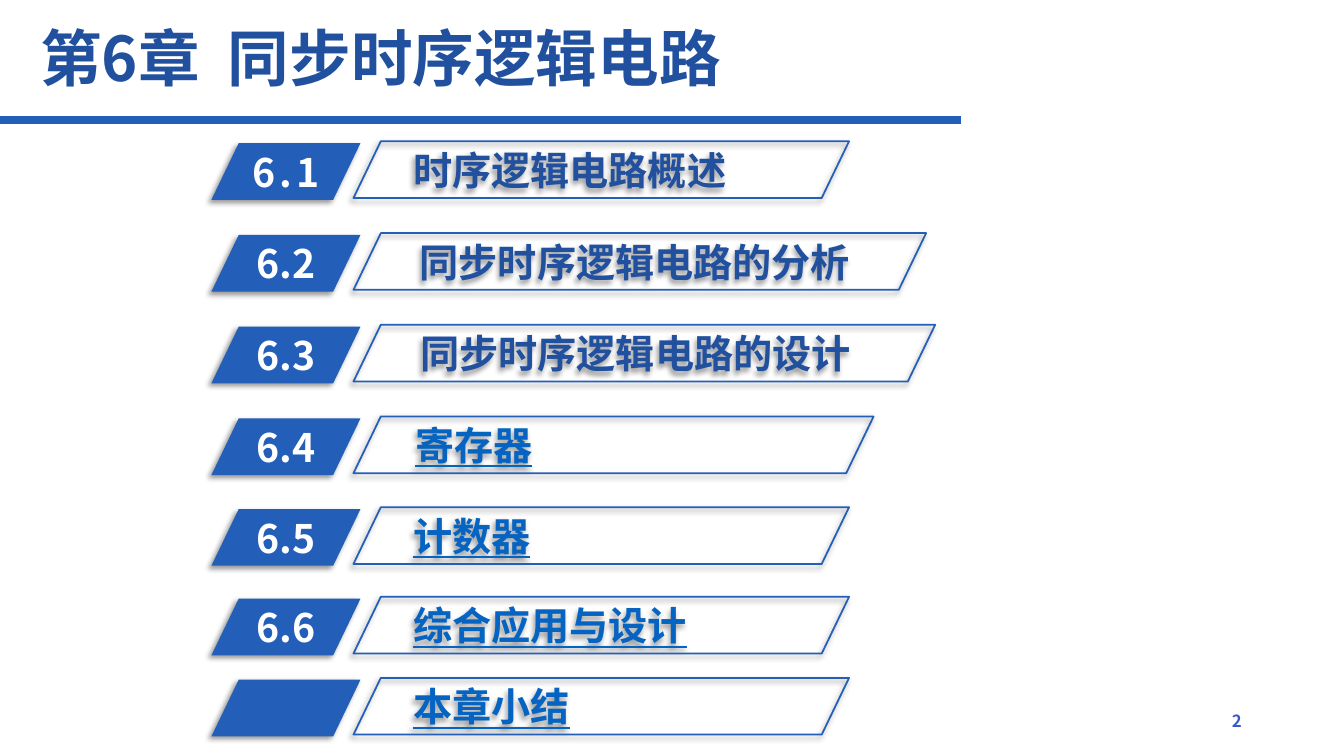
from lxml import etree
from pptx import Presentation
from pptx.dml.color import RGBColor
from pptx.enum.shapes import MSO_CONNECTOR, MSO_SHAPE
from pptx.enum.text import MSO_ANCHOR, MSO_AUTO_SIZE, PP_ALIGN
from pptx.oxml import parse_xml
from pptx.oxml.ns import nsdecls, qn
from pptx.util import Pt

PARALLELOGRAM = MSO_SHAPE.PARALLELOGRAM
STRAIGHT = MSO_CONNECTOR.STRAIGHT
MIDDLE = MSO_ANCHOR.MIDDLE
NO_AUTOFIT = MSO_AUTO_SIZE.NONE
LEFT, CENTER, RIGHT = PP_ALIGN.LEFT, PP_ALIGN.CENTER, PP_ALIGN.RIGHT

FONT = "Noto Sans CJK SC"
BLUE = RGBColor(0x23, 0x5E, 0xB8)
NAVY = RGBColor(0x21, 0x50, 0x9E)
LINK_BLUE = RGBColor(0x05, 0x63, 0xC1)
PAGE_BLUE = RGBColor(0x38, 0x59, 0xCD)
WHITE = RGBColor(0xFF, 0xFF, 0xFF)

BADGE_LEFT, BADGE_WIDTH = 151, 106.5
BAR_LEFT, BAR_RISE = 252.5, 1.3
ROW_HEIGHT = 40.5
SLANT = 0.482

# number, heading, badge top, bar width, underlined, letter spacing
SECTIONS = [
    ("6.1", "时序逻辑电路概述", 102.2, 354, False, 3),
    ("6.2", "同步时序逻辑电路的分析", 167.8, 409, False, 0),
    ("6.3", "同步时序逻辑电路的设计", 233.3, 415.5, False, 0),
    ("6.4", "寄存器", 298.8, 371.5, True, 0),
    ("6.5", "计数器", 363.6, 354, True, 0),
    ("6.6", "综合应用与设计", 427.6, 354, True, 0),
    ("", "本章小结", 485.5, 354, True, 0),
]


def write(frame, text, size, color, align, underline=False, spacing=0):
    frame.text = text
    frame.word_wrap = True
    frame.auto_size = NO_AUTOFIT
    frame.vertical_anchor = MIDDLE
    paragraph = frame.paragraphs[0]
    paragraph.alignment = align
    font = paragraph.font
    font.name, font.size, font.bold = FONT, Pt(size), True
    font.color.rgb = color
    if underline:
        font.underline = True
    properties = paragraph._p.pPr.find(qn("a:defRPr"))
    if spacing:
        properties.set("spc", str(spacing * 100))
    etree.SubElement(properties, qn("a:ea")).set("typeface", FONT)


def add_shadow(shape):
    shape.shadow.inherit = False
    effects = shape._element.spPr.find(qn("a:effectLst"))
    effects.append(parse_xml(
        f'<a:outerShdw {nsdecls("a")} blurRad="{Pt(4)}" dist="{Pt(3)}" '
        'dir="8100000" algn="tr" rotWithShape="0"><a:srgbClr val="000000">'
        '<a:alpha val="40000"/></a:srgbClr></a:outerShdw>'))


def add_parallelogram(slide, left, top, width):
    shape = slide.shapes.add_shape(
        PARALLELOGRAM, Pt(left), Pt(top), Pt(width), Pt(ROW_HEIGHT))
    shape.adjustments[0] = SLANT
    return shape


def add_badge(slide, number, top, spacing):
    badge = add_parallelogram(slide, BADGE_LEFT, top, BADGE_WIDTH)
    badge.fill.solid()
    badge.fill.fore_color.rgb = BLUE
    badge.line.fill.background()
    add_shadow(badge)
    if number:
        write(badge.text_frame, number, 28, WHITE, CENTER, spacing=spacing)


def add_bar(slide, heading, top, width, underlined):
    bar = add_parallelogram(slide, BAR_LEFT, top, width)
    bar.fill.background()
    bar.line.color.rgb = BLUE
    bar.line.width = Pt(1.25)
    add_shadow(bar)
    frame = bar.text_frame
    frame.margin_left = frame.margin_right = Pt(5)
    frame.margin_top = frame.margin_bottom = Pt(2.7)
    color = LINK_BLUE if underlined else NAVY
    write(frame, heading, 28, color, LEFT, underlined)


def add_title(slide, text):
    title = slide.shapes.title
    title.left, title.top = Pt(21.6), Pt(13)
    title.width, title.height = Pt(534), Pt(54.7)
    write(title.text_frame, text, 44, NAVY, LEFT)


def add_rule(slide):
    rule = slide.shapes.add_connector(
        STRAIGHT, Pt(0), Pt(85.7), Pt(686.3), Pt(85.7))
    rule.line.color.rgb = BLUE
    rule.line.width = Pt(6)
    etree.SubElement(rule._element.spPr, qn("a:effectLst"))


def add_page_number(slide, number):
    box = slide.shapes.add_textbox(Pt(678.2), Pt(500.4), Pt(216), Pt(28.8))
    write(box.text_frame, number, 12, PAGE_BLUE, RIGHT)


def main():
    presentation = Presentation()
    presentation.slide_width, presentation.slide_height = Pt(960), Pt(540)
    slide = presentation.slides.add_slide(presentation.slide_layouts[5])
    add_title(slide, "第6章  同步时序逻辑电路")
    add_rule(slide)
    for number, heading, top, width, underlined, spacing in SECTIONS:
        add_badge(slide, number, top, spacing)
        add_bar(slide, heading, top - BAR_RISE, width, underlined)
    add_page_number(slide, "2")
    presentation.save("out.pptx")


if __name__ == "__main__":
    main()
